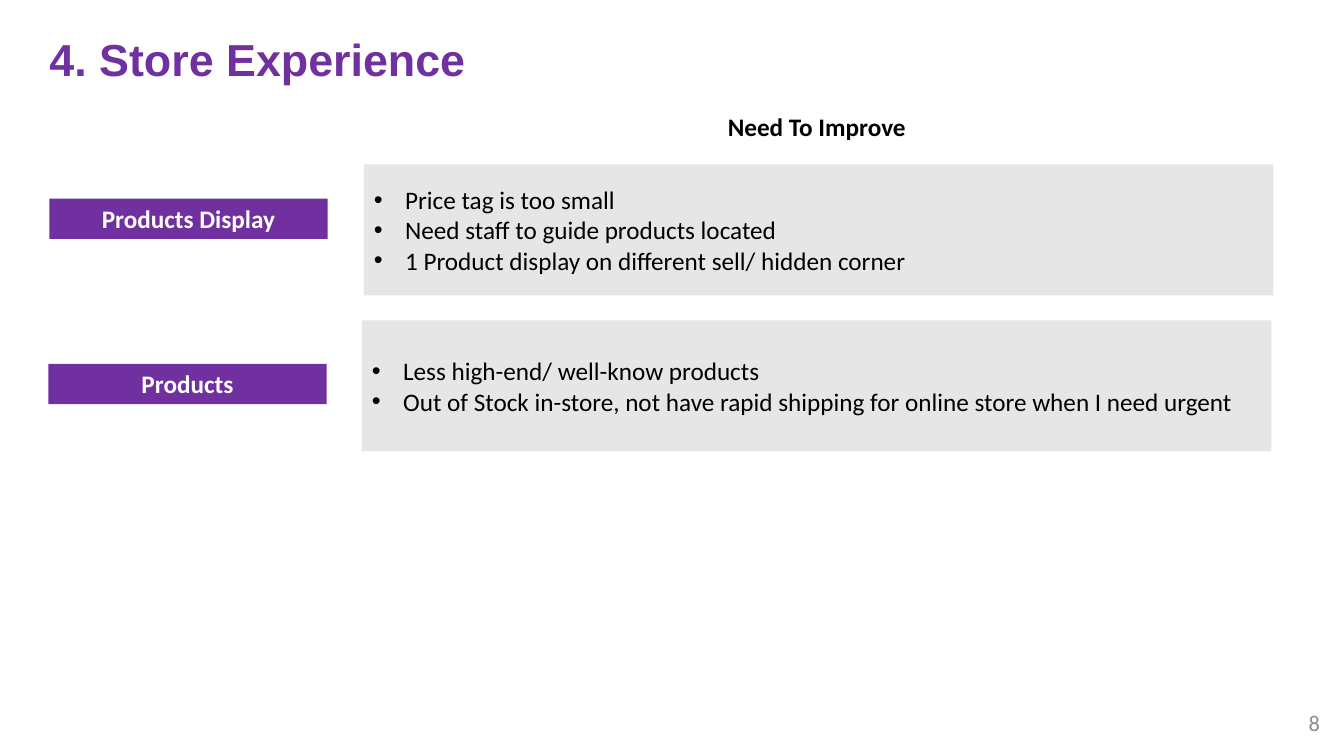
import pptx
import pptx.util
import pptx.dml.color
import pptx.enum.shapes
import pptx.enum.text
import pptx.oxml.ns
import lxml.etree

Inches = pptx.util.Inches
ALIGN = pptx.enum.text.PP_ALIGN
ANCHOR = pptx.enum.text.MSO_ANCHOR
PURPLE, GREY, BLACK, WHITE = "7030A0", "E7E6E6", "000000", "FFFFFF"
ROWS = [
    ("Products Display", 0.49, 1.97, 3.61, 1.63,
     ["Price tag is too small",
      "Need staff to guide products located",
      "1 Product display on different sell/ hidden corner"]),
    ("Products", 0.48, 3.61, 3.59, 3.18,
     ["Less high-end/ well-know products",
      "Out of Stock in-store, not have rapid shipping for online store when I need urgent"]),
]


def color(code):
    """Turn a hex string into a colour."""
    return pptx.dml.color.RGBColor.from_string(code)


def write(shape, lines, size, code, bold=False, align=ALIGN.LEFT,
          anchor=ANCHOR.TOP, face="Calibri"):
    """Set the text of a shape and format its runs."""
    frame = shape.text_frame
    frame.text = "\n".join(lines)
    frame.word_wrap = True
    frame.vertical_anchor = anchor
    for para in frame.paragraphs:
        para.alignment = align
        for run in para.runs:
            run.font.name = face
            run.font.size = pptx.util.Pt(size)
            run.font.bold = bold
            run.font.color.rgb = color(code)


def add_title(slide, text):
    """Place and format the title."""
    title = slide.shapes.title
    title.left, title.top = Inches(0.39), Inches(0.24)
    title.width, title.height = Inches(12.48), Inches(0.75)
    write(title, [text], 32, PURPLE, True, anchor=ANCHOR.MIDDLE, face="Arial")
    title.text_frame.paragraphs[0].line_spacing = 0.9


def add_text(slide, text, left, top, width, **style):
    """Add a one-line text box."""
    box = slide.shapes.add_textbox(Inches(left), Inches(top), Inches(width), Inches(0.4))
    write(box, [text], **style)


def add_block(slide, left, top, width, height, fill):
    """Add a plain filled rectangle."""
    block = slide.shapes.add_shape(
        pptx.enum.shapes.MSO_SHAPE.RECTANGLE,
        Inches(left), Inches(top), Inches(width), Inches(height))
    block.shadow.inherit = False
    block.fill.solid()
    block.fill.fore_color.rgb = color(fill)
    block.line.fill.background()
    return block


def add_label(slide, text, left, top):
    """Add a purple row label."""
    label = add_block(slide, left, top, 2.76, 0.4, PURPLE)
    write(label, [text], 18, WHITE, True, ALIGN.CENTER)


def add_list(slide, lines, left, top):
    """Add a grey panel with a bulleted list."""
    panel = add_block(slide, left, top, 9.02, 1.3, GREY)
    write(panel, lines, 18, BLACK, anchor=ANCHOR.MIDDLE)
    indent = Inches(0.31)
    for para in panel.text_frame.paragraphs:
        props = para._p.get_or_add_pPr()
        props.set("marL", str(indent))
        props.set("indent", str(-indent))
        font = lxml.etree.SubElement(props, pptx.oxml.ns.qn("a:buFont"))
        font.set("typeface", "Arial")
        mark = lxml.etree.SubElement(props, pptx.oxml.ns.qn("a:buChar"))
        mark.set("char", "•")


def main():
    """Build the slide and save it."""
    deck = pptx.Presentation()
    deck.slide_width, deck.slide_height = Inches(13.33), Inches(7.5)
    slide = deck.slides.add_slide(deck.slide_layouts[5])
    add_title(slide, "4. Store Experience")
    add_text(slide, "8", 12.72, 6.97, 0.47, size=16, code="8C8C8C",
             align=ALIGN.RIGHT, anchor=ANCHOR.MIDDLE)
    add_text(slide, "Need To Improve", 7.12, 1.06, 3.88, size=18, code=BLACK, bold=True)
    for name, left, top, list_left, list_top, lines in ROWS:
        add_label(slide, name, left, top)
        add_list(slide, lines, list_left, list_top)
    deck.save("out.pptx")


if __name__ == "__main__":
    main()
